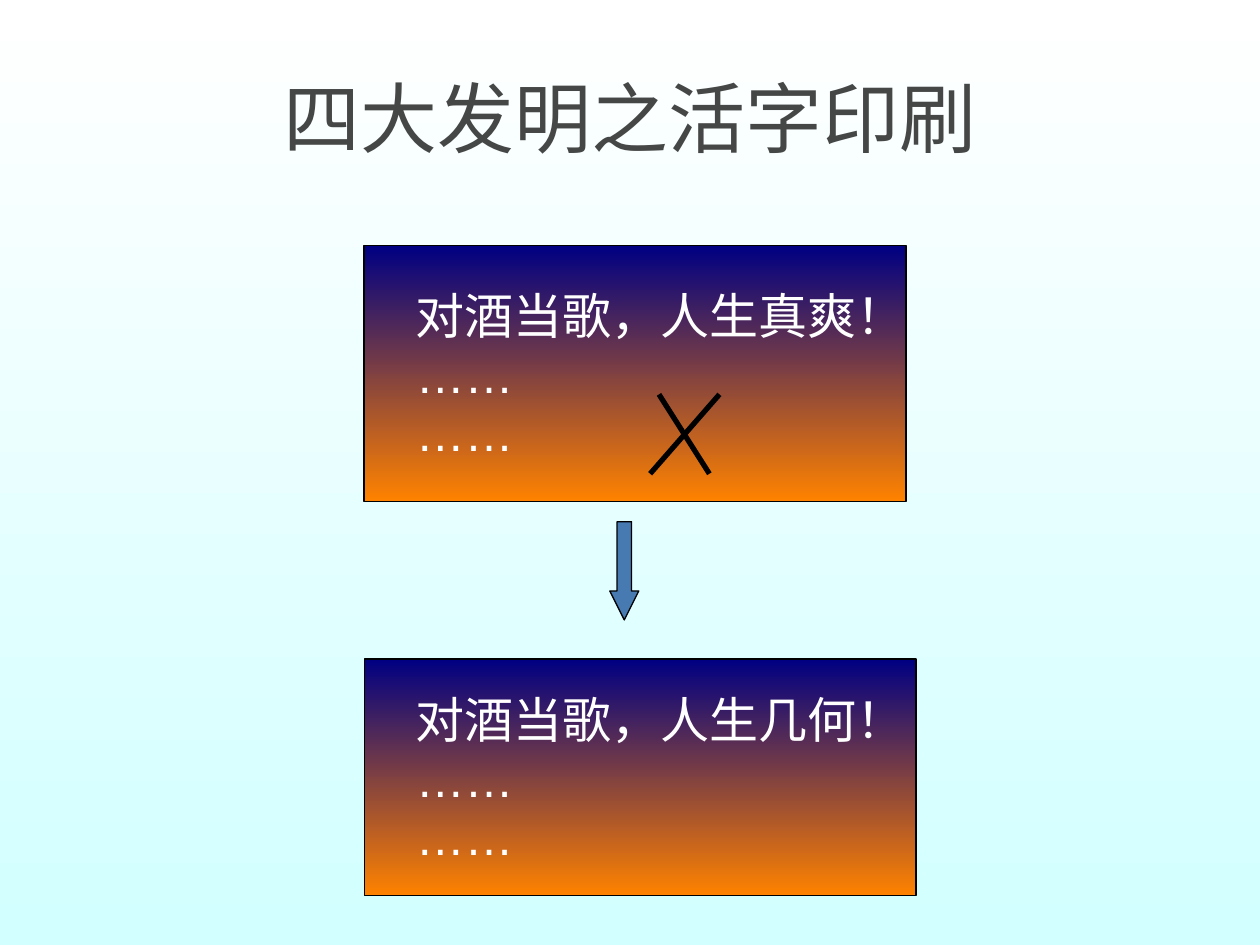
import pptx
import pptx.util
import pptx.dml.color
import pptx.enum.shapes
import pptx.enum.text
import pptx.oxml.ns
import lxml.etree

Inches = pptx.util.Inches
Pt = pptx.util.Pt
KIND = pptx.enum.shapes.MSO_SHAPE
ALIGN = pptx.enum.text.PP_ALIGN
MIDDLE = pptx.enum.text.MSO_ANCHOR.MIDDLE

THEME = {
    "sky": ("FFFFFF", "D2FFFF"),
    "panel": ("000082", "FF8200"),
    "arrow": "477AB1",
    "line": "000000",
    "title": ("Roboto", 44, "454746"),
    "verse": ("Arial", 28, "FFFFFF"),
    "thin": 0.75,
    "thick": 3,
}

TITLE = "四大发明之活字印刷"
TITLE_BOX = (0.5, 0.3, 9, 1.25)
REST = ["……", "……"]
PANELS = [
    ((2.89, 1.95, 4.3, 2.03), ["对酒当歌，人生真爽！"] + REST),
    ((2.89, 5.23, 4.38, 1.88), ["对酒当歌，人生几何！"] + REST),
]
ARROW_BOX = (4.84, 4.14, 0.23, 0.78)
CROSS_TOP, CROSS_END = 3.13, 3.76
CROSS = [(5.71, 5.16), (5.23, 5.63)]


def rgb(code):
    return pptx.dml.color.RGBColor.from_string(code)


def shade(fill, codes):
    """Fill with a gradient that runs from top to bottom."""
    fill.gradient()
    fill.gradient_angle = 270
    for stop, code in zip(fill.gradient_stops, codes):
        stop.color.rgb = rgb(code)


def ink(line, width):
    line.color.rgb = rgb(THEME["line"])
    line.width = Pt(width)


def write(frame, lines, style, align, left=0.1, wrap=True):
    name, size, code = THEME[style]
    frame.word_wrap = wrap
    frame.vertical_anchor = MIDDLE
    frame.margin_left, frame.margin_right = Inches(left), Inches(0.1)
    frame.margin_top = frame.margin_bottom = Inches(0.05)
    for i, text in enumerate(lines):
        para = frame.add_paragraph() if i else frame.paragraphs[0]
        para.alignment = align
        run = para.add_run()
        run.text = text
        run.font.name, run.font.size = name, Pt(size)
        run.font.color.rgb = rgb(code)


def add_box(slide, kind, box):
    shape = slide.shapes.add_shape(kind, *map(Inches, box))
    shape.shadow.inherit = False
    ink(shape.line, THEME["thin"])
    return shape


def add_panel(slide, box, lines):
    panel = add_box(slide, KIND.RECTANGLE, box)
    shade(panel.fill, THEME["panel"])
    write(panel.text_frame, lines, "verse", ALIGN.LEFT, 0.41, False)


def add_cross(slide):
    group = slide.shapes.add_group_shape()
    for start, end in CROSS:
        stroke = group.shapes.add_connector(
            pptx.enum.shapes.MSO_CONNECTOR.STRAIGHT,
            Inches(start), Inches(CROSS_TOP), Inches(end), Inches(CROSS_END))
        ink(stroke.line, THEME["thick"])
        props = stroke._element.spPr
        lxml.etree.SubElement(props, pptx.oxml.ns.qn("a:effectLst"))


def add_arrow(slide):
    arrow = add_box(slide, KIND.DOWN_ARROW, ARROW_BOX)
    arrow.adjustments[0], arrow.adjustments[1] = 0.5, 1
    arrow.fill.solid()
    arrow.fill.fore_color.rgb = rgb(THEME["arrow"])


def main():
    deck = pptx.Presentation()
    deck.slide_width, deck.slide_height = Inches(10), Inches(7.5)
    slide = deck.slides.add_slide(deck.slide_layouts[6])
    shade(slide.background.fill, THEME["sky"])
    title = slide.shapes.add_textbox(*map(Inches, TITLE_BOX))
    write(title.text_frame, [TITLE], "title", ALIGN.CENTER)
    first, second = PANELS
    add_panel(slide, *first)
    add_cross(slide)
    add_panel(slide, *second)
    add_arrow(slide)
    deck.save("out.pptx")


if __name__ == "__main__":
    main()
